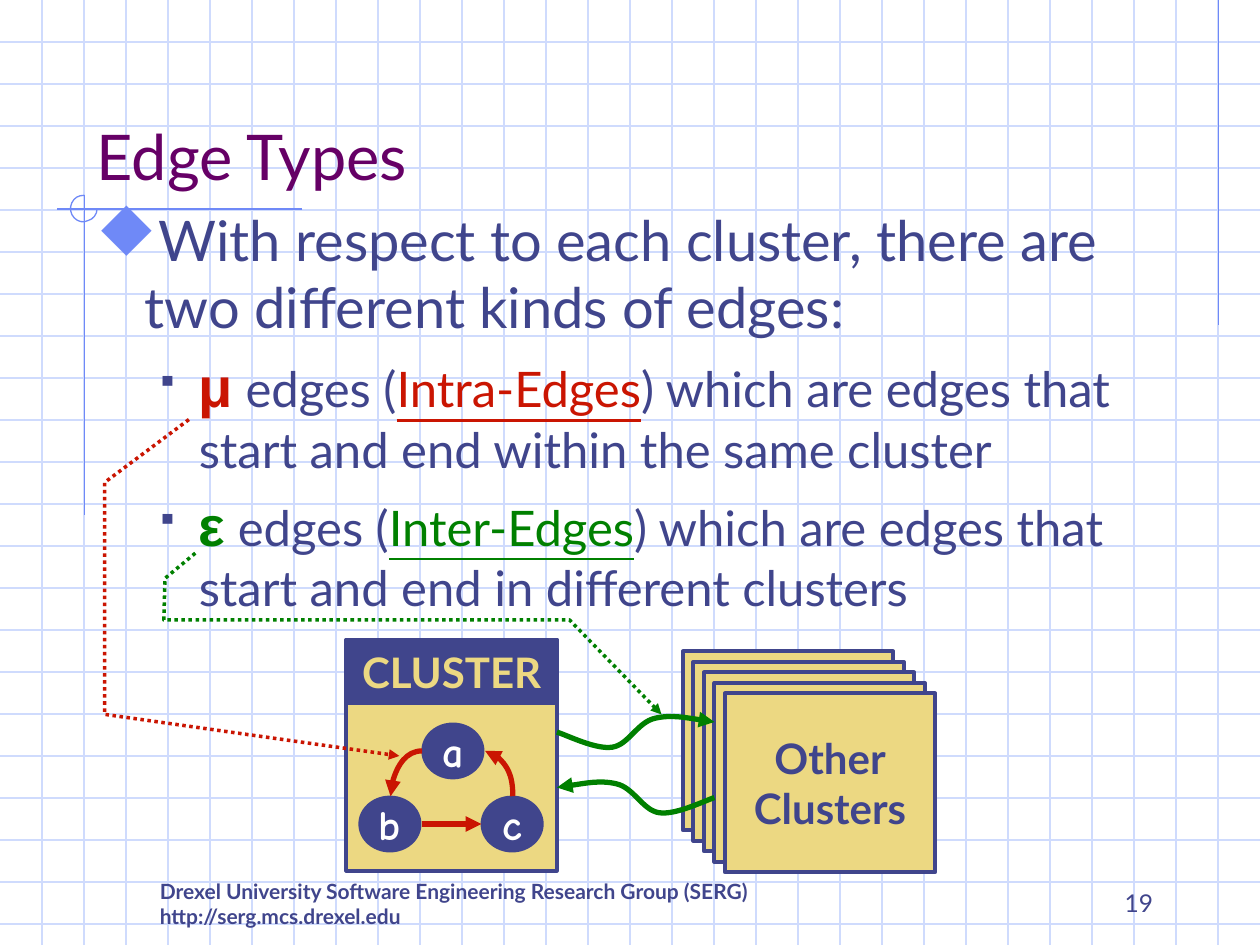
from dataclasses import dataclass
from typing import Optional

import lxml.etree
import pptx
import pptx.dml.color
import pptx.enum.dml
import pptx.enum.shapes
import pptx.enum.text
import pptx.oxml.ns
import pptx.util

Inches = pptx.util.Inches
Pt = pptx.util.Pt
qn = pptx.oxml.ns.qn
Shapes = pptx.enum.shapes.MSO_SHAPE
Connectors = pptx.enum.shapes.MSO_CONNECTOR
Anchor = pptx.enum.text.MSO_ANCHOR
Align = pptx.enum.text.PP_ALIGN
Point = tuple[float, float]


@dataclass(frozen=True)
class Theme:
    navy: str = "40458C"
    sand: str = "ECD882"
    red: str = "CA1502"
    green: str = "008000"
    purple: str = "660066"
    grid: str = "CFDBFD"
    accent: str = "6F89F7"
    white: str = "FFFFFF"
    font: str = "Lato"
    greek_font: str = "Arial"
    node_font: str = "Comic Neue"
    bullet_font: str = "Wingdings"
    title: float = 36
    body: float = 32
    detail: float = 28
    label: float = 24
    number: float = 14
    footer: float = 12
    hairline: float = 0.75
    outline: float = 2.25
    edge: float = 3
    pointer: float = 2


THEME = Theme()


@dataclass(frozen=True)
class Style:
    size: float
    color: str = THEME.navy
    bold: bool = False
    name: str = THEME.font
    underline: bool = False


@dataclass(frozen=True)
class Bullet:
    mark: str
    color: str
    percent: int
    margin: float
    hanging: float


@dataclass(frozen=True)
class EdgeKind:
    symbol: str
    term: str
    color: str
    rest: str


@dataclass(frozen=True)
class Node:
    name: str
    left: float
    top: float


DIAMOND = Bullet("u", THEME.accent, 110, 0.38, 0.38)
SQUARE = Bullet("§", THEME.navy, 60, 0.81, 0.31)
EDGE_KINDS = [
    EdgeKind("μ", "Intra-Edges", THEME.red,
             ") which are edges that start and end within the same cluster"),
    EdgeKind("ε", "Inter-Edges", THEME.green,
             ") which are edges that start and end in different clusters"),
]
NODES = [Node("a", 3.36, 5.75), Node("b", 2.86, 6.33), Node("c", 3.83, 6.33)]


def rgb(color: str) -> pptx.dml.color.RGBColor:
    return pptx.dml.color.RGBColor.from_string(color)


def set_font(font, style: Style) -> None:
    font.name = style.name
    font.size = Pt(style.size)
    font.bold = style.bold
    font.underline = style.underline
    font.color.rgb = rgb(style.color)


def write(frame, lines: list[str], style: Style, align=Align.LEFT, anchor=Anchor.TOP) -> None:
    frame.vertical_anchor = anchor
    frame.text = "\n".join(lines)
    for para in frame.paragraphs:
        para.alignment = align
        set_font(para.font, style)


def add_text(page, left: float, top: float, width: float, height: float):
    box = page.shapes.add_textbox(Inches(left), Inches(top), Inches(width), Inches(height))
    box.text_frame.word_wrap = True
    return box.text_frame


def add_bullet(para, bullet: Bullet) -> None:
    props = para._p.get_or_add_pPr()
    props.set("marL", str(Inches(bullet.margin)))
    props.set("indent", str(-Inches(bullet.hanging)))
    color = lxml.etree.SubElement(props, qn("a:buClr"))
    lxml.etree.SubElement(color, qn("a:srgbClr"), val=bullet.color)
    lxml.etree.SubElement(props, qn("a:buSzPct"), val=str(bullet.percent * 1000))
    lxml.etree.SubElement(props, qn("a:buFont"), typeface=THEME.bullet_font, charset="2")
    lxml.etree.SubElement(props, qn("a:buChar"), char=bullet.mark)


def style_line(shape, color: str, width: float, arrow: Optional[str] = None, dotted: bool = False) -> None:
    shape.line.color.rgb = rgb(color)
    shape.line.width = Pt(width)
    if dotted:
        shape.line.dash_style = pptx.enum.dml.MSO_LINE.ROUND_DOT
    if arrow:
        lxml.etree.SubElement(shape.line._get_or_add_ln(), qn(f"a:{arrow}"), type="triangle")


def add_line(page, start: Point, end: Point, color: str, width: float,
             arrow: Optional[str] = None, curved: bool = False) -> None:
    kind = Connectors.CURVE if curved else Connectors.STRAIGHT
    line = page.shapes.add_connector(kind, *(Inches(value) for value in start + end))
    if curved:
        line._element.spPr.find(qn("a:prstGeom")).set("prst", "curvedConnector2")
    style_line(line, color, width, arrow)
    lxml.etree.SubElement(line._element.spPr, qn("a:effectLst"))


def add_outline(page, points: list[Point], color: str, width: float, arrow: Optional[str] = None,
                curved: bool = False, dotted: bool = False) -> None:
    corners = [(Inches(x), Inches(y)) for x, y in points]
    builder = page.shapes.build_freeform(*corners[0])
    builder.add_line_segments(corners[1:], close=False)
    shape = builder.convert_to_shape()
    shape.shadow.inherit = False
    shape.fill.background()
    style_line(shape, color, width, arrow, dotted)
    if curved:
        segments = list(shape._element.iter(qn("a:lnTo")))
        for first in range(0, len(segments), 3):
            curve = lxml.etree.SubElement(segments[first].getparent(), qn("a:cubicBezTo"))
            for segment in segments[first:first + 3]:
                curve.append(segment[0])
                segment.getparent().remove(segment)


def add_block(page, kind, left: float, top: float, width: float, height: float, fill: str):
    block = page.shapes.add_shape(kind, Inches(left), Inches(top), Inches(width), Inches(height))
    block.shadow.inherit = False
    block.fill.solid()
    block.fill.fore_color.rgb = rgb(fill)
    style_line(block, THEME.navy, THEME.outline)
    block.text_frame.word_wrap = False
    return block


def draw_background(page) -> None:
    for step in range(1, 23):
        add_line(page, (0, step / 3), (10, step / 3), THEME.grid, THEME.hairline)
    for step in range(1, 30):
        add_line(page, (step / 3, 0), (step / 3, 7.5), THEME.grid, THEME.hairline)
    for start, end in [((9.67, 0), (9.67, 2.58)), ((2.4, 1.66), (0.45, 1.66)), ((0.67, 1.55), (0.67, 4.09))]:
        add_line(page, start, end, THEME.accent, THEME.hairline)
    ring = [(0.67, 1.55), (0.62, 1.55), (0.59, 1.57), (0.57, 1.61), (0.55, 1.65), (0.56, 1.7), (0.59, 1.73),
            (0.62, 1.76), (0.66, 1.77), (0.7, 1.75), (0.74, 1.74), (0.77, 1.7), (0.77, 1.66)]
    add_outline(page, ring, THEME.accent, THEME.hairline, curved=True)


def draw_body(page) -> None:
    frame = add_text(page, 0.67, 1.58, 8.5, 4.5)
    para = frame.paragraphs[0]
    para.text = "With respect to each cluster, there are two different kinds of edges:"
    add_bullet(para, DIAMOND)
    set_font(para.font, Style(THEME.body))
    for kind in EDGE_KINDS:
        para = frame.add_paragraph()
        para.level = 1
        para.space_before = Pt(7)
        add_bullet(para, SQUARE)
        plain = Style(THEME.detail)
        for text, style in [
            (kind.symbol, Style(THEME.body, kind.color, True, THEME.greek_font)),
            (" edges (", plain),
            (kind.term, Style(THEME.detail, kind.color, underline=True)),
            (kind.rest, plain),
        ]:
            span = para.add_run()
            span.text = text
            set_font(span.font, style)


def draw_clusters(page) -> None:
    add_block(page, Shapes.RECTANGLE, 2.75, 5.08, 1.67, 1.83, THEME.sand)
    for node in NODES:
        oval = add_block(page, Shapes.OVAL, node.left, node.top, 0.47, 0.42, THEME.navy)
        write(oval.text_frame, [node.name], Style(THEME.label, THEME.white, True, THEME.node_font),
              Align.CENTER, Anchor.MIDDLE)
    add_line(page, (3.35, 6.54), (3.82, 6.54), THEME.red, THEME.edge, "tailEnd")
    add_line(page, (3.35, 5.96), (3.1, 6.32), THEME.red, THEME.edge, "tailEnd", curved=True)
    add_line(page, (3.85, 5.96), (4.07, 6.32), THEME.red, THEME.edge, "headEnd", curved=True)
    header = add_block(page, Shapes.RECTANGLE, 2.75, 5.08, 1.67, 0.5, THEME.navy)
    write(header.text_frame, ["CLUSTER"], Style(THEME.label, THEME.sand, True), Align.CENTER)
    for step in range(5):
        card = add_block(page, Shapes.RECTANGLE, 5.42 + step / 12, 5.17 + step / 12, 1.67, 1.42, THEME.sand)
    write(card.text_frame, ["Other", "Clusters"], Style(THEME.label, bold=True), Align.CENTER, Anchor.MIDDLE)


def draw_edges(page) -> None:
    incoming = [(4.42, 6.25), (4.49, 6.24), (4.76, 6.19), (4.89, 6.22), (5.03, 6.25),
                (5.1, 6.43), (5.23, 6.45), (5.36, 6.47), (5.58, 6.36), (5.67, 6.33)]
    outgoing = [(10.09 - x, y - 0.52) for x, y in incoming]
    for wave in (incoming, outgoing):
        add_outline(page, wave, THEME.green, THEME.edge, "headEnd", curved=True)
    intra = [(1.5, 3.33), (0.83, 3.83), (0.83, 5.67), (3.17, 6)]
    inter = [(1.55, 4.39), (1.31, 4.59), (1.3, 4.92), (4.52, 4.92), (5.25, 5.67)]
    for points, color in ((intra, THEME.red), (inter, THEME.green)):
        add_outline(page, points, color, THEME.pointer, "tailEnd", dotted=True)


def main() -> None:
    deck = pptx.Presentation()
    deck.slide_width, deck.slide_height = Inches(10), Inches(7.5)
    page = deck.slides.add_slide(deck.slide_layouts[6])
    draw_background(page)
    footer = "Drexel University Software Engineering Research Group (SERG)\vhttp://serg.mcs.drexel.edu"
    write(add_text(page, 1.17, 6.92, 6.5, 0.5), [footer], Style(THEME.footer, bold=True))
    write(add_text(page, 0.67, 0.33, 8.5, 1.25), ["Edge Types"], Style(THEME.title, THEME.purple),
          anchor=Anchor.BOTTOM)
    draw_body(page)
    draw_clusters(page)
    draw_edges(page)
    write(add_text(page, 7.17, 6.83, 2.08, 0.5), ["19"], Style(THEME.number), Align.RIGHT, Anchor.BOTTOM)
    deck.save("out.pptx")


if __name__ == "__main__":
    main()
